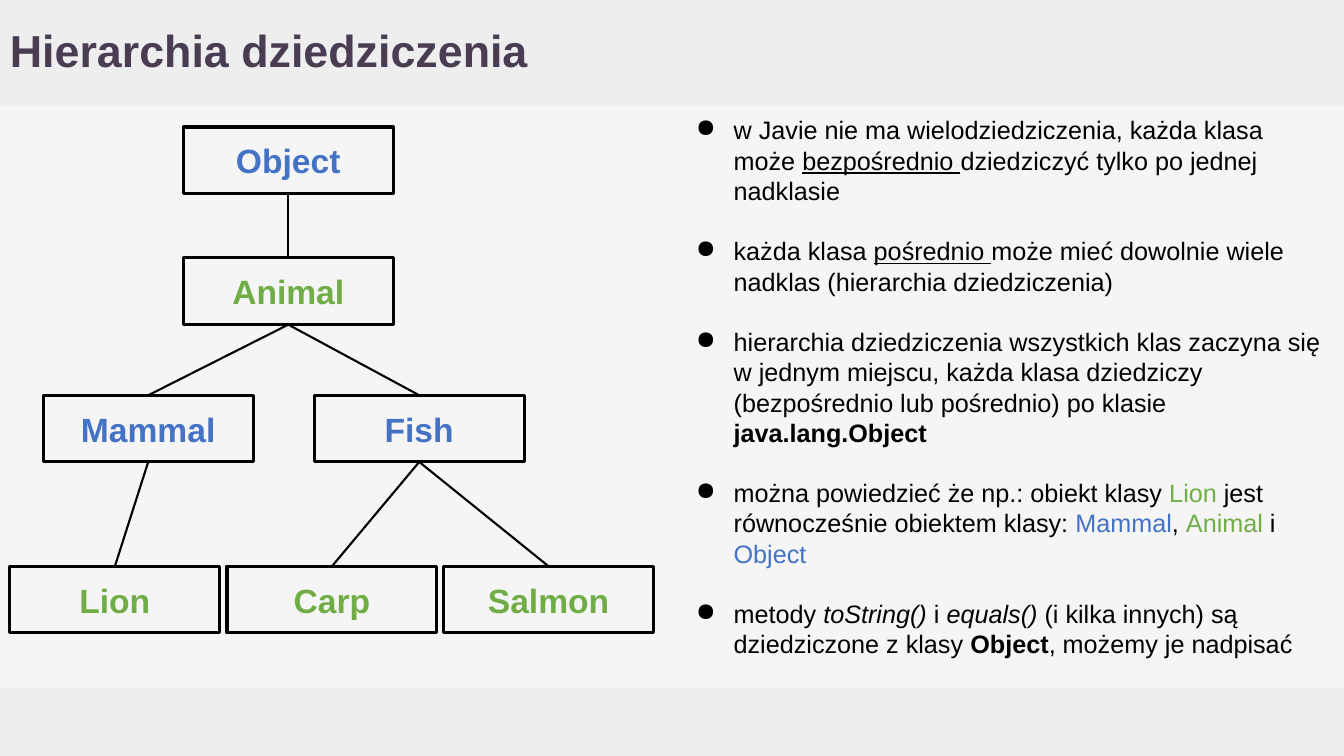
import pptx
import pptx.util
import pptx.dml.color
import pptx.enum.shapes
import pptx.enum.text
import pptx.oxml.xmlchemy
from pptx.util import Cm

COLORS = {
    "background": "F5F5F5",
    "band": "EEEEEE",
    "title": "4A3D53",
    "black": "000000",
    "blue": "4472C4",
    "green": "70AD47",
}
FONT = "Arial"
SLIDE_WIDTH, SLIDE_HEIGHT = 33.87, 19.05
HEADER_HEIGHT, FOOTER_TOP = 2.67, 17.32
INSET = 0.25

title = "Hierarchia dziedziczenia"

CLASS_WIDTH, CLASS_HEIGHT = 5.29, 1.68
LEVEL_TOPS = [3.2, 6.5, 9.96, 14.27]
classes = {
    "Object": (0, 4.62, "blue", None),
    "Animal": (1, 4.62, "green", "Object"),
    "Mammal": (2, 1.09, "blue", "Animal"),
    "Fish": (2, 7.92, "blue", "Animal"),
    "Lion": (3, 0.25, "green", "Mammal"),
    "Carp": (3, 5.72, "green", "Fish"),
    "Salmon": (3, 11.18, "green", "Fish"),
}

UNDERLINE, BOLD, ITALIC = {"underline": True}, {"bold": True}, {"italic": True}
BLUE, GREEN = {"color": "blue"}, {"color": "green"}
facts = [
    [("w Javie nie ma wielodziedziczenia, każda klasa może ", {}),
     ("bezpośrednio ", UNDERLINE),
     ("dziedziczyć tylko po jednej nadklasie", {})],
    [("każda klasa ", {}),
     ("pośrednio ", UNDERLINE),
     ("może mieć dowolnie wiele nadklas (hierarchia dziedziczenia)", {})],
    [("hierarchia dziedziczenia wszystkich klas zaczyna się  w jednym miejscu, "
      "każda klasa dziedziczy (bezpośrednio lub pośrednio) po klasie ", {}),
     ("java.lang.Object", BOLD)],
    [("można powiedzieć że np.: obiekt klasy ", {}),
     ("Lion ", GREEN),
     ("jest równocześnie obiektem klasy: ", {}),
     ("Mammal", BLUE),
     (", ", {}),
     ("Animal ", GREEN),
     ("i ", {}),
     ("Object", BLUE)],
    [("metody ", {}),
     ("toString() ", ITALIC),
     ("i ", {}),
     ("equals()", ITALIC),
     (" (i kilka innych) są dziedziczone z klasy ", {}),
     ("Object", BOLD),
     (", możemy je nadpisać", {})],
]


def rgb(name):
    return pptx.dml.color.RGBColor.from_string(COLORS[name])


def add_run(paragraph, text, size, color="black", **style):
    run = paragraph.add_run()
    run.text = text
    run.font.color.rgb = rgb(color)
    for key, value in {"name": FONT, "size": pptx.util.Pt(size), **style}.items():
        setattr(run.font, key, value)


def prepare_frame(shape, anchor):
    margins = {f"margin_{side}": Cm(INSET) for side in ("left", "top", "right", "bottom")}
    for key, value in {"word_wrap": True, "vertical_anchor": anchor, **margins}.items():
        setattr(shape.text_frame, key, value)
    return shape.text_frame


def add_rectangle(slide, left, top, width, height):
    rectangle = slide.shapes.add_shape(
        pptx.enum.shapes.MSO_SHAPE.RECTANGLE, Cm(left), Cm(top), Cm(width), Cm(height))
    rectangle.shadow.inherit = False
    return rectangle


def add_band(slide, top, height):
    band = add_rectangle(slide, 0, top, SLIDE_WIDTH, height)
    band.fill.solid()
    band.fill.fore_color.rgb = rgb("band")
    band.line.fill.background()


def add_class(slide, name):
    level, left, color, parent = classes[name]
    box = add_rectangle(slide, left, LEVEL_TOPS[level], CLASS_WIDTH, CLASS_HEIGHT)
    box.fill.background()
    box.line.color.rgb = rgb("black")
    box.line.width = pptx.util.Pt(2.25)
    paragraph = prepare_frame(box, pptx.enum.text.MSO_ANCHOR.MIDDLE).paragraphs[0]
    paragraph.alignment = pptx.enum.text.PP_ALIGN.CENTER
    add_run(paragraph, name, 24, color, bold=True)


def add_inheritance(slide, parent, child):
    parent_level, parent_left = classes[parent][:2]
    child_level, child_left = classes[child][:2]
    link = slide.shapes.add_connector(
        pptx.enum.shapes.MSO_CONNECTOR.STRAIGHT,
        Cm(parent_left + CLASS_WIDTH / 2), Cm(LEVEL_TOPS[parent_level] + CLASS_HEIGHT),
        Cm(child_left + CLASS_WIDTH / 2), Cm(LEVEL_TOPS[child_level]))
    link.line.color.rgb = rgb("black")
    link.line.width = pptx.util.Pt(1.5)
    link._element.spPr.append(pptx.oxml.xmlchemy.OxmlElement("a:effectLst"))


def add_bullet(paragraph):
    properties = paragraph._p.get_or_add_pPr()
    properties.set("marL", str(Cm(1.27)))
    properties.set("indent", str(-Cm(0.95)))
    bullet_color = pptx.oxml.xmlchemy.OxmlElement("a:buClr")
    shade = pptx.oxml.xmlchemy.OxmlElement("a:srgbClr")
    shade.set("val", COLORS["black"])
    bullet_color.append(shade)
    bullet = pptx.oxml.xmlchemy.OxmlElement("a:buChar")
    bullet.set("char", "●")
    properties.extend([bullet_color, bullet])


def add_facts(slide):
    box = slide.shapes.add_textbox(Cm(16.97), Cm(2.64), Cm(16.74), Cm(14.22))
    frame = prepare_frame(box, pptx.enum.text.MSO_ANCHOR.TOP)
    for index, fact in enumerate(facts):
        paragraph = frame.add_paragraph() if index else frame.paragraphs[0]
        add_bullet(paragraph)
        paragraph.line_spacing = pptx.util.Pt(21.6)
        if index:
            paragraph.space_before = pptx.util.Pt(21.6)
        for text, style in fact:
            add_run(paragraph, text, 18, **style)


def main():
    presentation = pptx.Presentation()
    presentation.slide_width = Cm(SLIDE_WIDTH)
    presentation.slide_height = Cm(SLIDE_HEIGHT)
    slide = presentation.slides.add_slide(presentation.slide_layouts[6])
    slide.background.fill.solid()
    slide.background.fill.fore_color.rgb = rgb("background")

    add_band(slide, FOOTER_TOP, SLIDE_HEIGHT - FOOTER_TOP)
    add_band(slide, 0, HEADER_HEIGHT)
    heading = slide.shapes.add_textbox(0, 0, Cm(30.28), Cm(HEADER_HEIGHT))
    heading_frame = prepare_frame(heading, pptx.enum.text.MSO_ANCHOR.MIDDLE)
    heading_frame.paragraphs[0].line_spacing = 0.9
    add_run(heading_frame.paragraphs[0], title, 32, "title", bold=True)

    add_facts(slide)
    for name, (level, left, color, parent) in classes.items():
        add_class(slide, name)
        if parent:
            add_inheritance(slide, parent, name)
    presentation.save("out.pptx")


if __name__ == "__main__":
    main()
